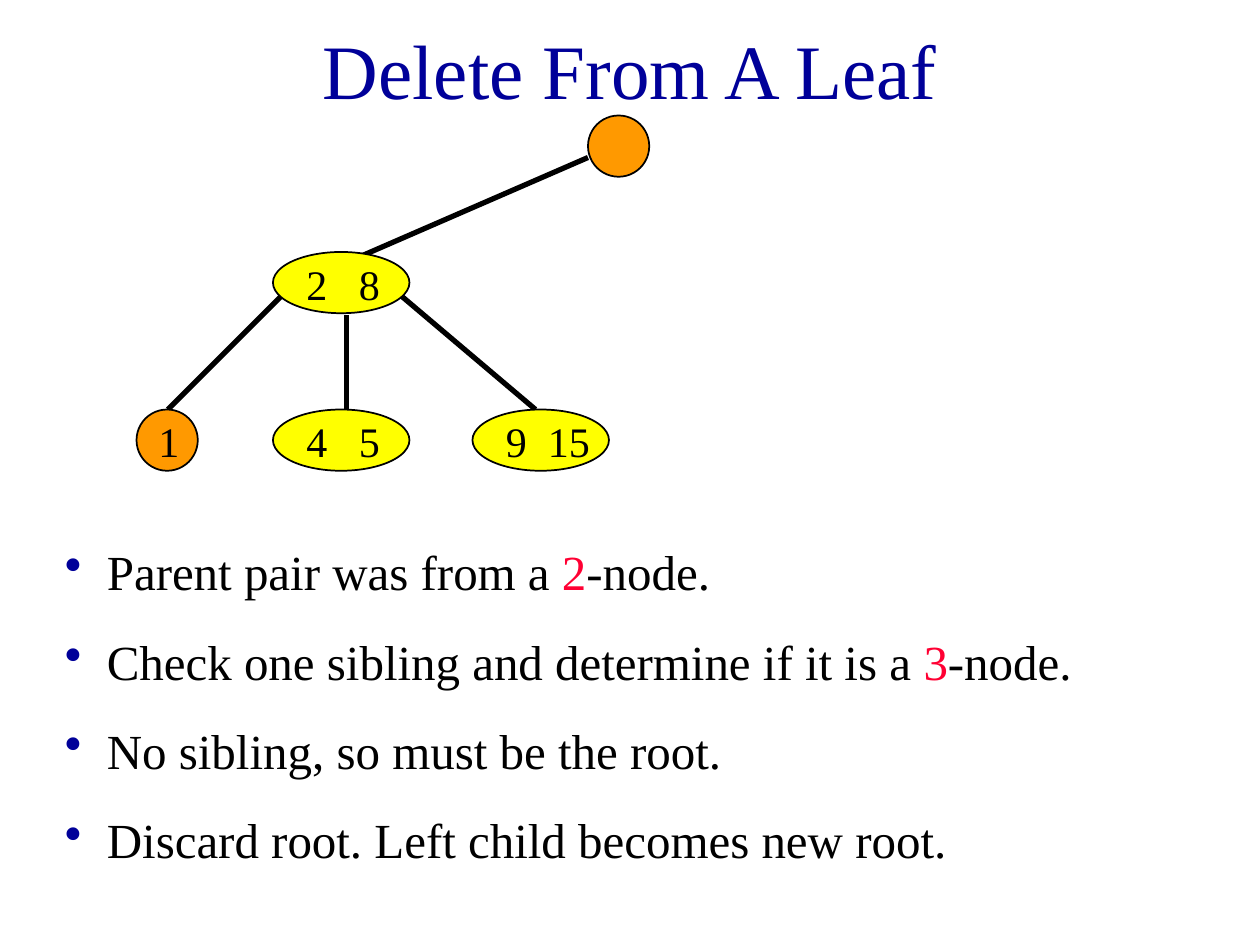
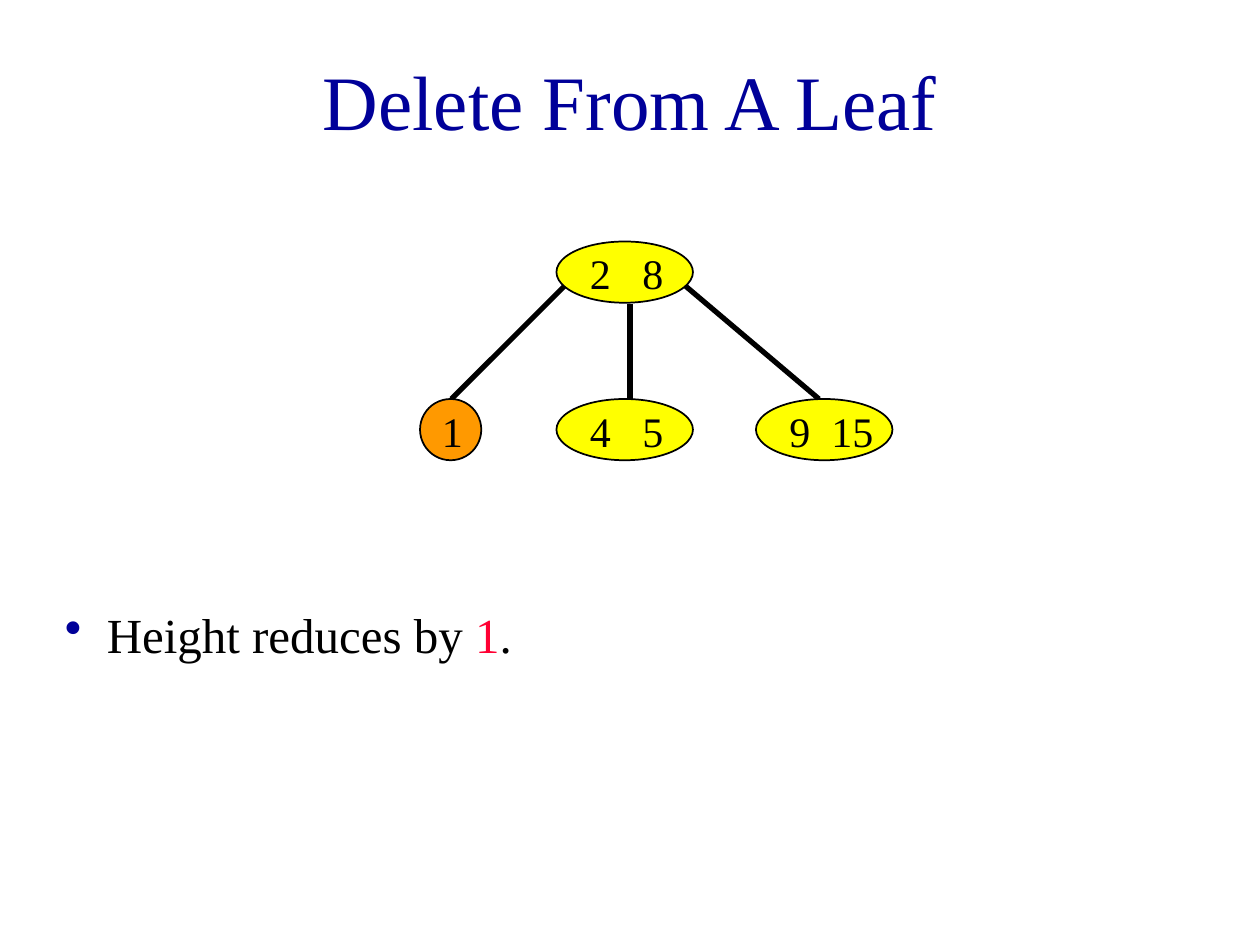
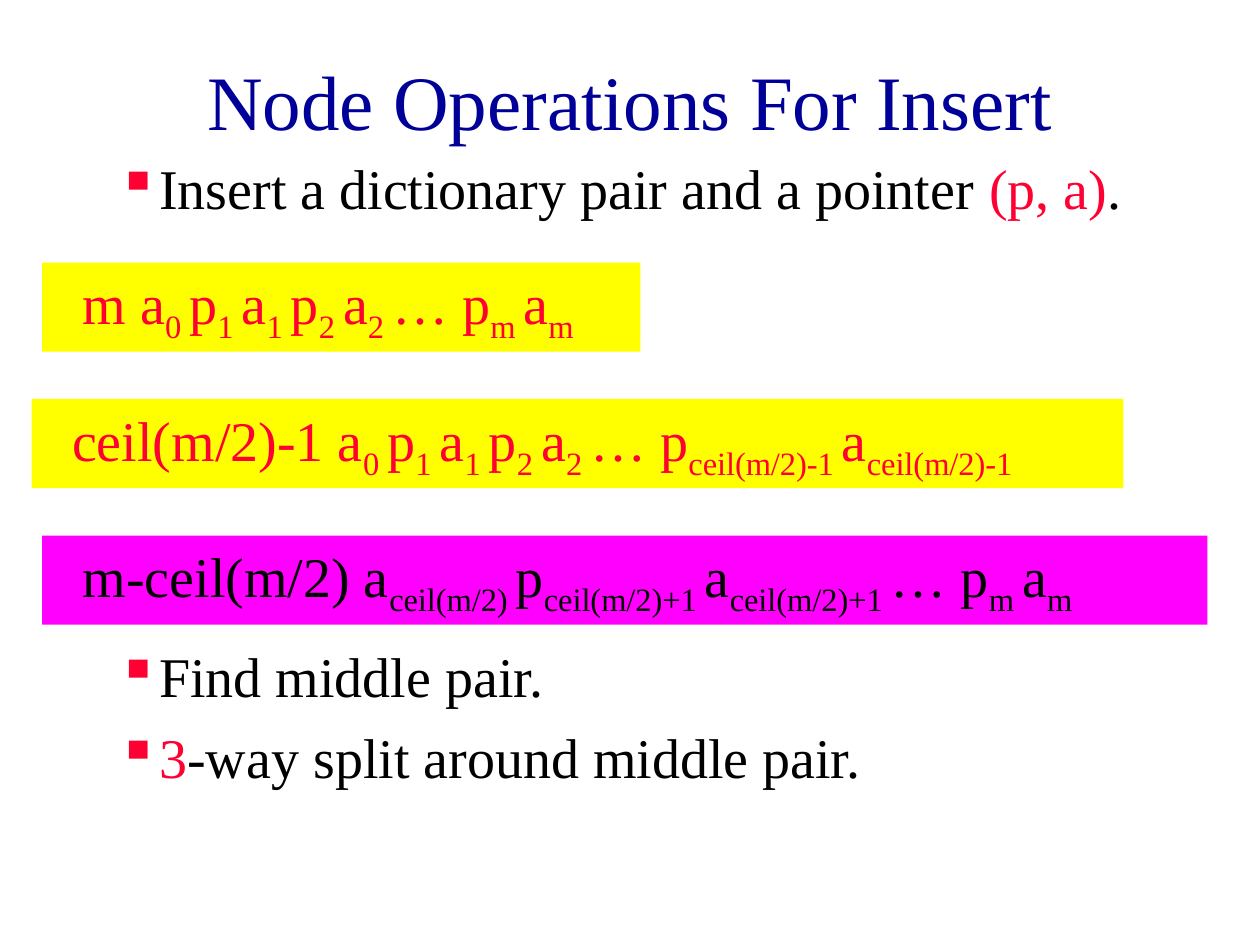
import dataclasses
import typing

import lxml.etree
import pptx
import pptx.dml.color
import pptx.enum.shapes
import pptx.enum.text
import pptx.oxml.ns
import pptx.util

Pt = pptx.util.Pt
RGB = pptx.dml.color.RGBColor
SHAPE = pptx.enum.shapes.MSO_SHAPE
ALIGN = pptx.enum.text.PP_ALIGN
ANCHOR = pptx.enum.text.MSO_ANCHOR
qn = pptx.oxml.ns.qn

NAVY = RGB(0x00, 0x00, 0x99)
RED = RGB(0xFF, 0x00, 0x33)
BLACK = RGB(0x00, 0x00, 0x00)
WHITE = RGB(0xFF, 0xFF, 0xFF)
ORANGE = RGB(0xFF, 0x99, 0x00)
YELLOW = RGB(0xFF, 0xFF, 0x00)
PINK = RGB(0xFF, 0x00, 0xFF)
FONT = "Times New Roman"


@dataclasses.dataclass(frozen=True)
class Bullet:
    char: str
    color: RGB
    left: float
    hang: float


@dataclasses.dataclass(frozen=True)
class Node:
    left: float
    top: float
    width: float
    fill: RGB
    keys: str = ""
    inset: float = 12
    span: float = 60
    tab: float = 30


@dataclasses.dataclass(frozen=True)
class Edge:
    x1: float
    y1: float
    x2: float
    y2: float


@dataclasses.dataclass(frozen=True)
class Band:
    left: float
    top: float
    width: float
    fill: RGB
    color: RGB
    text: str


DOT = Bullet("•", NAVY, 24, 24)
SQUARE = Bullet("▪", RED, 58.5, 22.5)

SIZE = 35
ROOT = Node(336, 66, SIZE, ORANGE)
STEM = Edge(336, 90, 198, 150)
NODES = [
    Node(78, 234, SIZE, ORANGE, "1", inset=5.5, span=30),
    Node(156, 234, 78, YELLOW, "4\t5"),
    Node(270, 234, 78, YELLOW, "9\t15", span=78, tab=24),
    Node(156, 144, 78, YELLOW, "2\t8"),
]
EDGES = [
    Edge(162, 168, 96, 234),
    Edge(228, 168, 306, 234),
    Edge(198, 180, 198, 234),
]

HEAD = "a_0 _p_1 _a_1 _p_2 _a_2 _… p"
BANDS = [
    Band(24, 150, 342, YELLOW, RED, f"m {HEAD}_m _a_m"),
    Band(18, 228, 624, YELLOW, RED,
         f"ceil(m/2)-1 {HEAD}_ceil(m/2)-1 _a_ceil(m/2)-1"),
    Band(24, 306, 666, PINK, BLACK,
         "m-ceil(m/2) a_ceil(m/2) _p_ceil(m/2)+1 _a_ceil(m/2)+1 _… p_m _a_m"),
]


def write(frame, lines: list[str], size: float, color: RGB = BLACK,
          before: float = 0, align=ALIGN.LEFT, anchor=ANCHOR.TOP,
          bullet: typing.Optional[Bullet] = None, tab: float = 0) -> None:
    """Fill a frame; *stars* enclose red text, _underscores_ subscripts."""
    frame.word_wrap = True
    frame.auto_size = pptx.enum.text.MSO_AUTO_SIZE.NONE
    frame.vertical_anchor = anchor
    for i, line in enumerate(lines):
        para = frame.add_paragraph() if i else frame.paragraphs[0]
        para.alignment = align
        para.space_before = Pt(before)
        props = para._p.get_or_add_pPr()
        if bullet:
            props.set("marL", str(Pt(bullet.left)))
            props.set("indent", str(-Pt(bullet.hang)))
            tint = lxml.etree.SubElement(props, qn("a:buClr"))
            lxml.etree.SubElement(tint, qn("a:srgbClr"), val=str(bullet.color))
            lxml.etree.SubElement(props, qn("a:buChar"), char=bullet.char)
        if tab:
            stops = lxml.etree.SubElement(props, qn("a:tabLst"))
            lxml.etree.SubElement(stops, qn("a:tab"), pos=str(Pt(tab)), algn="l")
        for j, part in enumerate(line.split("*")):
            for k, piece in enumerate(part.split("_")):
                if not piece:
                    continue
                run = para.add_run()
                run.text = piece
                run.font.name = FONT
                run.font.size = Pt(size)
                run.font.color.rgb = RED if j % 2 else color
                if k % 2:
                    run.font._element.set("baseline", "-25000")


def add_page(deck, title: str, height: float = 90):
    page = deck.slides.add_slide(deck.slide_layouts[5])
    page.background.fill.solid()
    page.background.fill.fore_color.rgb = WHITE
    head = page.shapes.title
    head.left, head.top, head.width, head.height = map(Pt, (54, 12, 612, height))
    write(head.text_frame, [title], 44, NAVY,
          align=ALIGN.CENTER, anchor=ANCHOR.MIDDLE)
    return page


def add_text(page, left: float, top: float, width: float, height: float,
             lines: list[str], size: float, **style) -> None:
    box = page.shapes.add_textbox(Pt(left), Pt(top), Pt(width), Pt(height))
    write(box.text_frame, lines, size, **style)


def add_solid(page, kind, left: float, top: float, width: float,
              height: float, fill: RGB):
    shape = page.shapes.add_shape(kind, Pt(left), Pt(top), Pt(width), Pt(height))
    shape.shadow.inherit = False
    shape.fill.solid()
    shape.fill.fore_color.rgb = fill
    return shape


def draw_edge(page, edge: Edge, dx: float, dy: float) -> None:
    line = page.shapes.add_connector(
        pptx.enum.shapes.MSO_CONNECTOR.STRAIGHT,
        Pt(edge.x1 + dx), Pt(edge.y1 + dy), Pt(edge.x2 + dx), Pt(edge.y2 + dy))
    line.line.color.rgb = BLACK
    line.line.width = Pt(3)
    lxml.etree.SubElement(line._element.spPr, qn("a:effectLst"))


def draw_node(page, node: Node, dx: float, dy: float) -> None:
    left, top = node.left + dx, node.top + dy
    oval = add_solid(page, SHAPE.OVAL, left, top, node.width, SIZE, node.fill)
    oval.line.color.rgb = BLACK
    oval.line.width = Pt(1)
    if node.keys:
        add_text(page, left + node.inset, top, node.span, 36, [node.keys], 24,
                 before=15, tab=node.tab if "\t" in node.keys else 0)


def draw_tree(page, nodes: list[Node], edges: list[Edge],
              dx: float = 0, dy: float = 0) -> None:
    for edge in edges:
        draw_edge(page, edge, dx, dy)
    for node in nodes:
        draw_node(page, node, dx, dy)


def draw_band(page, band: Band) -> None:
    bar = add_solid(page, SHAPE.RECTANGLE, band.left, band.top, band.width, 51,
                    band.fill)
    bar.line.fill.background()
    bar.text_frame.margin_left = Pt(23.2)
    write(bar.text_frame, [band.text], 32, band.color, before=20)


def add_points(page, top: float, height: float, lines: list[str]) -> None:
    add_text(page, 30, top, 690, height, lines, 28, before=17.5, bullet=DOT)


def add_steps(page, top: float, height: float, lines: list[str]) -> None:
    add_text(page, 24, top, 642, height, lines, 32, before=8, bullet=SQUARE)


def main() -> None:
    deck = pptx.Presentation()
    deck.slide_width, deck.slide_height = Pt(720), Pt(540)

    page = add_page(deck, "Delete From A Leaf", 54)
    draw_tree(page, [ROOT] + NODES, [STEM] + EDGES)
    add_points(page, 306, 194, [
        "Parent pair was from a *2*-node.",
        "Check one sibling and determine if it is a *3*-node.",
        "No sibling, so must be the root.",
        "Discard root. Left child becomes new root.",
    ])

    page = add_page(deck, "Delete From A Leaf")
    draw_tree(page, NODES, EDGES, 162, -6)
    add_points(page, 342, 41, ["Height reduces by *1*."])

    page = add_page(deck, "Node Operations For Insert")
    for band in BANDS:
        draw_band(page, band)
    add_steps(page, 84, 54, ["Insert a dictionary pair and a pointer *(p, a)*."])
    add_steps(page, 363, 93, ["Find middle pair.",
                              "*3*-way split around middle pair."])

    deck.save("out.pptx")


if __name__ == "__main__":
    main()
